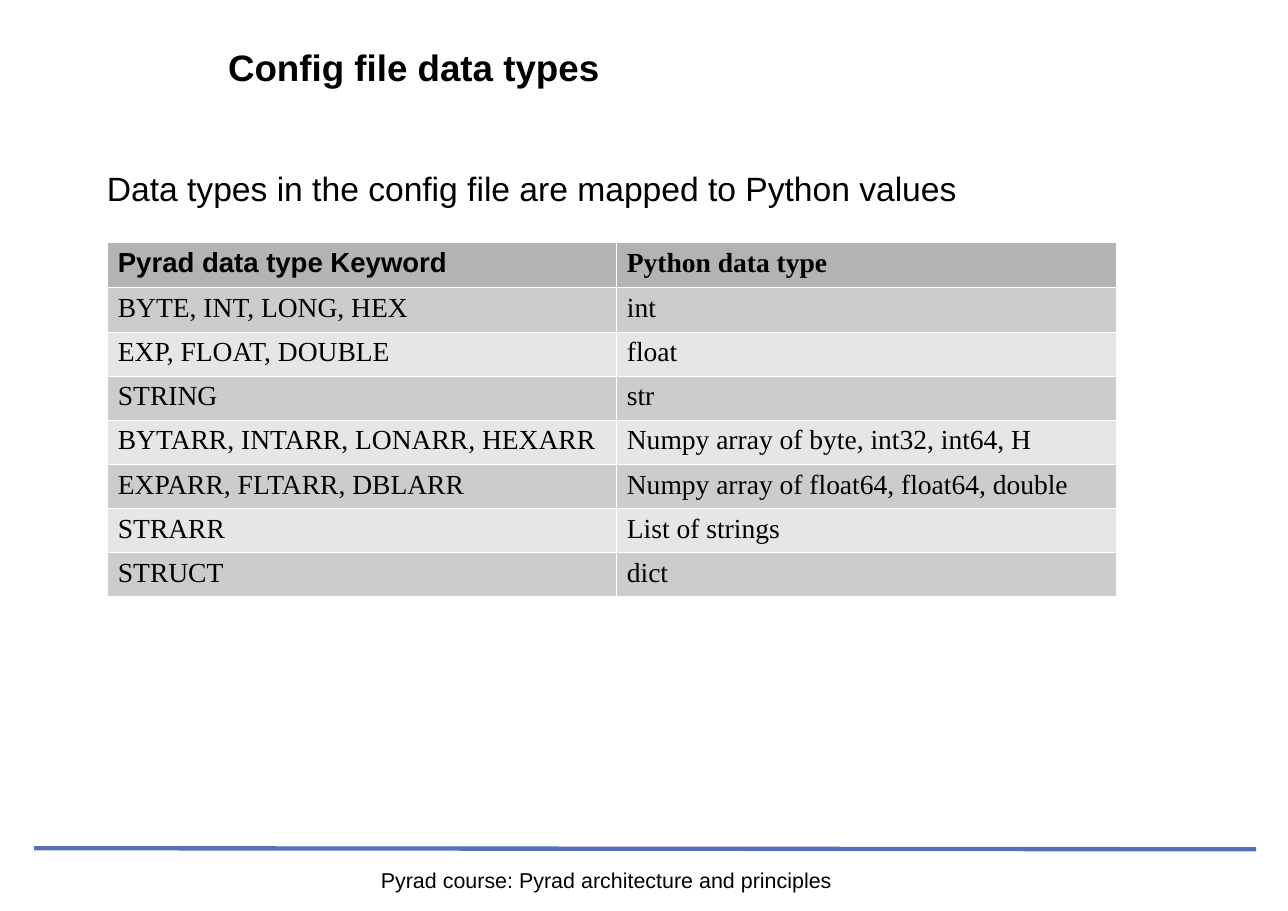
import pptx
import pptx.dml.color
import pptx.enum.shapes
import pptx.enum.text
import pptx.oxml.ns
import pptx.util
import lxml.etree

PX = 9144
BLACK = pptx.dml.color.RGBColor(0x00, 0x00, 0x00)
WHITE = pptx.dml.color.RGBColor(0xFF, 0xFF, 0xFF)
RULE_BLUE = pptx.dml.color.RGBColor(0x57, 0x70, 0xB6)
HEADER_GREY = pptx.dml.color.RGBColor(0xB3, 0xB3, 0xB3)
DARK_BAND = pptx.dml.color.RGBColor(0xCC, 0xCC, 0xCC)
LIGHT_BAND = pptx.dml.color.RGBColor(0xE6, 0xE6, 0xE6)
SANS = "Arial"
SERIF = "Times New Roman"

DATA_TYPES = [
    ("Pyrad data type Keyword", "Python data type"),
    ("BYTE, INT, LONG, HEX", "int"),
    ("EXP, FLOAT, DOUBLE", "float"),
    ("STRING", "str"),
    ("BYTARR, INTARR, LONARR, HEXARR", "Numpy array of byte, int32, int64, H"),
    ("EXPARR, FLTARR, DBLARR", "Numpy array of float64, float64, double"),
    ("STRARR", "List of strings"),
    ("STRUCT", "dict"),
]


def px(*values):
    return [pptx.util.Emu(value * PX) for value in values]


def write_text(tf, text, size=18, font=SANS, bold=False, align=None):
    p = tf.paragraphs[0]
    p.alignment = align
    r = p.add_run()
    r.text = text
    r.font.name = font
    r.font.size = pptx.util.Pt(size)
    r.font.bold = bold
    r.font.color.rgb = BLACK


def add_text(slide, box, text, inset=(0, 0), anchor="TOP", fill=None, **text_format):
    sp = slide.shapes.add_textbox(*px(*box))
    if fill is not None:
        sp.fill.solid()
        sp.fill.fore_color.rgb = fill
    tf = sp.text_frame
    tf.word_wrap = True
    tf.vertical_anchor = pptx.enum.text.MSO_ANCHOR[anchor]
    tf.margin_left, tf.margin_top = px(*inset)
    tf.margin_right = tf.margin_bottom = 0
    write_text(tf, text, **text_format)


def add_rule(slide, start, end):
    line = slide.shapes.add_connector(
        pptx.enum.shapes.MSO_CONNECTOR.STRAIGHT, *px(*start, *end))
    line.line.color.rgb = RULE_BLUE
    line.line.width = pptx.util.Pt(2.83)
    lxml.etree.SubElement(line._element.spPr, pptx.oxml.ns.qn("a:effectLst"))


def set_borders(cell, color, width):
    tc_pr = cell._tc.get_or_add_tcPr()
    for side in ("lnL", "lnR", "lnT", "lnB"):
        ln = lxml.etree.SubElement(
            tc_pr, pptx.oxml.ns.qn(f"a:{side}"), w=str(pptx.util.Pt(width)))
        fill = lxml.etree.SubElement(ln, pptx.oxml.ns.qn("a:solidFill"))
        lxml.etree.SubElement(fill, pptx.oxml.ns.qn("a:srgbClr"), val=str(color))


def format_cell(cell, text, fill, **text_format):
    set_borders(cell, WHITE, 0.06)
    cell.fill.solid()
    cell.fill.fore_color.rgb = fill
    cell.margin_left, cell.margin_right = px(10, 10)
    cell.margin_top, cell.margin_bottom = px(5, 5)
    write_text(cell.text_frame, text, **text_format)


def add_data_table(slide, left, top, widths, header_height, row_height, rows):
    heights = [header_height] + [row_height] * (len(rows) - 1)
    table = slide.shapes.add_table(
        len(rows), len(widths),
        *px(left, top, sum(widths), sum(heights))).table
    table.first_row = table.horz_banding = False
    for column, width in zip(table.columns, px(*widths)):
        column.width = width
    for row, height in zip(table.rows, px(*heights)):
        row.height = height
    for i, texts in enumerate(rows):
        header = i == 0
        fill = HEADER_GREY if header else DARK_BAND if i % 2 else LIGHT_BAND
        for j, text in enumerate(texts):
            font = SANS if header and j == 0 else SERIF
            format_cell(table.cell(i, j), text, fill, font=font, bold=header)


def main():
    prs = pptx.Presentation()
    prs.slide_width, prs.slide_height = px(1169, 827)
    slide = prs.slides.add_slide(prs.slide_layouts[6])

    add_rule(slide, (31, 770), (1140, 771))
    add_text(slide, (207, 27, 924, 67), "Config file data types",
             anchor="MIDDLE", fill=WHITE, size=24, bold=True)
    add_text(slide, (30, 148, 1111, 596),
             "Data types in the config file are mapped to Python values",
             inset=(67, 4), size=22)
    add_data_table(slide, 97, 220, (462, 454), 41, 37, DATA_TYPES)
    add_text(slide, (149, 787, 803, 39),
             "Pyrad course: Pyrad architecture and principles",
             size=14, align=pptx.enum.text.PP_ALIGN.CENTER)

    prs.save("out.pptx")


if __name__ == "__main__":
    main()
